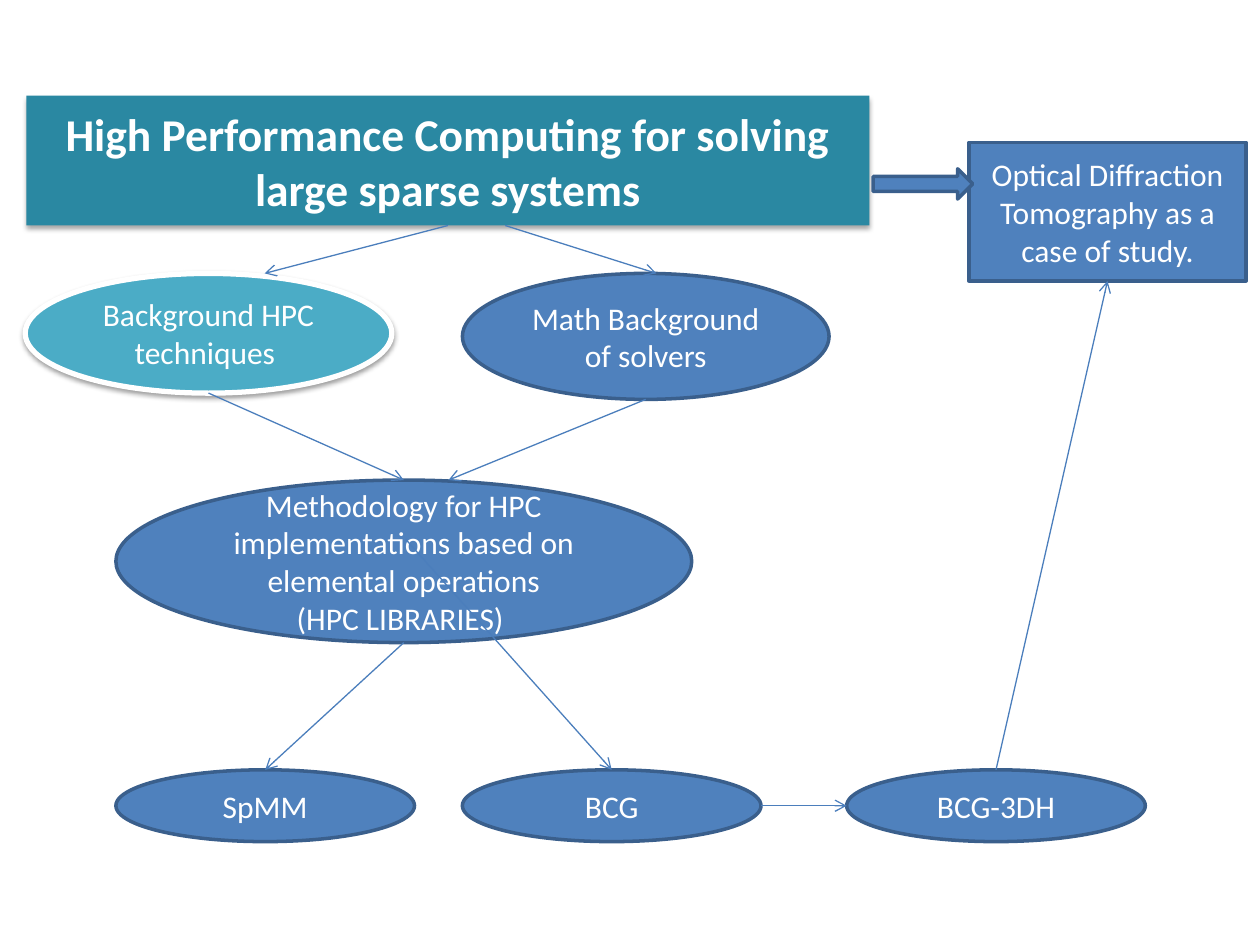
from dataclasses import dataclass
from typing import Optional

from lxml.etree import SubElement
from pptx import Presentation
from pptx.dml.color import RGBColor
from pptx.enum.shapes import MSO_CONNECTOR, MSO_SHAPE
from pptx.enum.text import MSO_ANCHOR, PP_ALIGN
from pptx.oxml.ns import qn
from pptx.util import Inches, Pt

WHITE = RGBColor(0xFF, 0xFF, 0xFF)
BLUE = RGBColor(0x4F, 0x81, 0xBD)
NAVY = RGBColor(0x3A, 0x5F, 0x8C)
AQUA = RGBColor(0x4B, 0xAC, 0xC6)
TEAL = RGBColor(0x2A, 0x88, 0xA2)
WIRE = RGBColor(0x4B, 0x7E, 0xBC)

WIDE, HIGH = Inches(10), Inches(7.5)
COLS, ROWS = 100, 75

OVAL, RECT, ARROW = MSO_SHAPE.OVAL, MSO_SHAPE.RECTANGLE, MSO_SHAPE.RIGHT_ARROW
FRAME = {"word_wrap": True, "vertical_anchor": MSO_ANCHOR.MIDDLE}


@dataclass(frozen=True)
class Shade:
    alpha: int
    blur: float
    dist: float


@dataclass(frozen=True)
class Node:
    col: float
    row: float
    cols: float
    rows: float
    text: str = ""
    kind: MSO_SHAPE = OVAL
    fill: RGBColor = BLUE
    edge: Optional[RGBColor] = NAVY
    width: float = 2
    size: int = 18
    bold: bool = False
    shade: Optional[Shade] = None

    def top(self) -> tuple:
        return self.col + self.cols / 2, self.row

    def base(self) -> tuple:
        return self.col + self.cols / 2, self.row + self.rows

    def left(self) -> tuple:
        return self.col, self.row + self.rows / 2

    def right(self) -> tuple:
        return self.col + self.cols, self.row + self.rows / 2


def across(col: float) -> int:
    return round(WIDE * col / COLS)


def down(row: float) -> int:
    return round(HIGH * row / ROWS)


def cast(shape, shade: Shade) -> None:
    """Add a soft black shadow straight below the shape."""
    effects = shape._element.spPr.find(qn("a:effectLst"))
    outer = SubElement(effects, qn("a:outerShdw"), {
        "blurRad": str(Pt(shade.blur)), "dist": str(Pt(shade.dist)),
        "dir": "5400000", "rotWithShape": "0"})
    black = SubElement(outer, qn("a:srgbClr"), val="000000")
    SubElement(black, qn("a:alpha"), val=str(shade.alpha * 1000))


def write(frame, node: Node) -> None:
    for name, value in FRAME.items():
        setattr(frame, name, value)
    frame.text = node.text
    font = {"name": "Calibri", "size": Pt(node.size), "bold": node.bold}
    for para in frame.paragraphs:
        para.alignment = PP_ALIGN.CENTER
        for run in para.runs:
            for name, value in font.items():
                setattr(run.font, name, value)
            run.font.color.rgb = WHITE


def draw(shapes, node: Node) -> None:
    shape = shapes.add_shape(node.kind, across(node.col), down(node.row),
                             across(node.cols), down(node.rows))
    shape.shadow.inherit = False
    shape.fill.solid()
    shape.fill.fore_color.rgb = node.fill
    if node.edge is None:
        shape.line.fill.background()
    else:
        shape.line.color.rgb = node.edge
        shape.line.width = Pt(node.width)
    if node.shade:
        cast(shape, node.shade)
    if node.text:
        write(shape.text_frame, node)


def link(shapes, start: tuple, end: tuple) -> None:
    wire = shapes.add_connector(MSO_CONNECTOR.STRAIGHT,
                                across(start[0]), down(start[1]),
                                across(end[0]), down(end[1]))
    wire.line.color.rgb = WIRE
    wire.line.width = Pt(0.75)
    SubElement(wire.line._get_or_add_ln(), qn("a:tailEnd"), type="arrow")
    SubElement(wire._element.spPr, qn("a:effectLst"))


def main() -> None:
    techs = Node(2, 21.7, 29.1, 9.5, "Background HPC techniques ",
                 fill=AQUA, edge=WHITE, width=3, shade=Shade(38, 3.1, 1.6))
    title = Node(2.1, 7.6, 66.9, 10.3,
                 "High Performance Computing for solving large sparse systems",
                 RECT, TEAL, None, size=26, bold=True, shade=Shade(35, 3.1, 1.8))
    study = Node(76.9, 11.3, 22, 11,
                 "Optical Diffraction Tomography as a case of study.", RECT)
    leads = Node(69.3, 13.4, 7.9, 2.4, kind=ARROW)
    maths = Node(36.7, 21.7, 29.1, 10, "Math Background of solvers")
    method = Node(9.2, 38.1, 45.7, 12.9,
                  "Methodology for HPC implementations based on elemental "
                  "operations\n(HPC LIBRARIES) ")
    spmm, bcg, holo = (Node(col, 61.1, 23.7, 5.7, text) for col, text in
                       ((9.2, "SpMM"), (36.7, "BCG"), (67.2, "BCG-3DH")))
    links = [
        (techs.base(), method.top()),
        (method.base(), spmm.top()),
        (maths.base(), (35.6, method.row)),
        ((32.2, 42.8), bcg.top()),
        (bcg.right(), holo.left()),
        (holo.top(), study.base()),
        (title.base(), (21, techs.row)),
        ((40.1, title.base()[1]), (52.1, maths.row)),
    ]

    deck = Presentation()
    deck.slide_width, deck.slide_height = WIDE, HIGH
    shapes = deck.slides.add_slide(deck.slide_layouts[6]).shapes
    for node in (techs, title, study, leads, maths, method, spmm, bcg, holo):
        draw(shapes, node)
    for start, end in links:
        link(shapes, start, end)
    deck.save("out.pptx")


if __name__ == "__main__":
    main()
